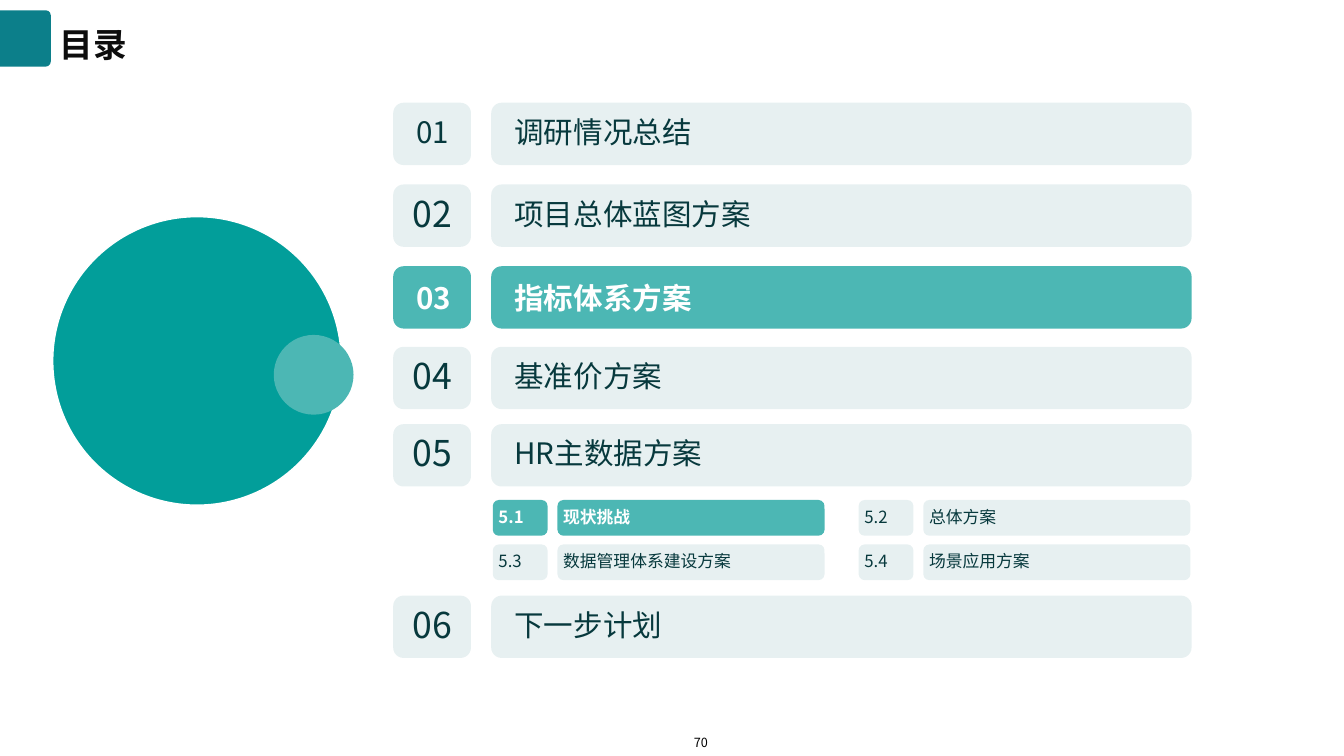
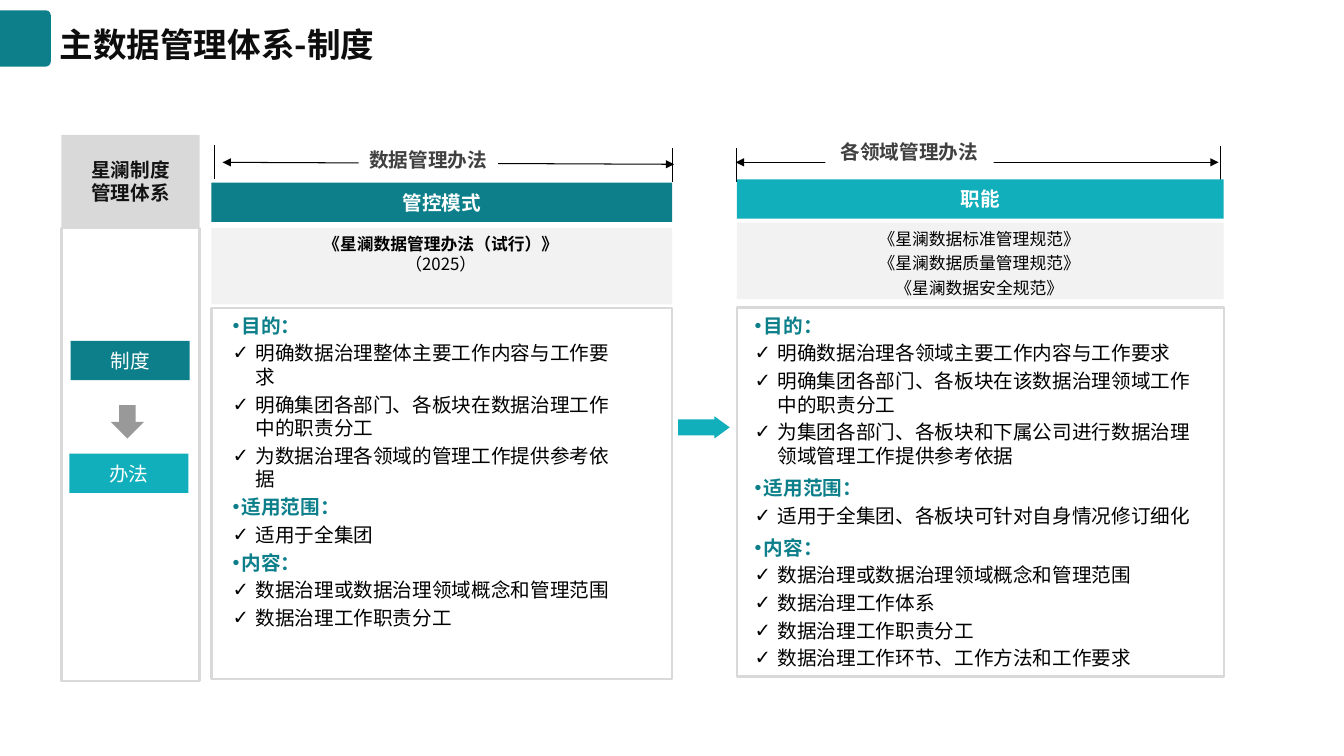
"""Build the agenda page and the data management policy page."""
import dataclasses
import typing

import lxml.etree
import pptx
import pptx.dml.color
import pptx.enum.shapes
import pptx.enum.text
import pptx.oxml.ns
import pptx.shapes.autoshape
import pptx.slide
import pptx.text.text
import pptx.util

Cm = pptx.util.Cm
Pt = pptx.util.Pt
qn = pptx.oxml.ns.qn
Kind = pptx.enum.shapes.MSO_SHAPE
Align = pptx.enum.text.PP_ALIGN
Anchor = pptx.enum.text.MSO_ANCHOR
Shape = pptx.shapes.autoshape.Shape
Page = pptx.slide.Slide
Frame = pptx.text.text.TextFrame
Place = tuple[float, float, float, float]

FONT = "Noto Sans CJK SC"
TEAL, CYAN, MINT, GREEN = "0C7F8A", "11AFBB", "4CB7B4", "029E9A"
PALE, INK, WHITE, BLACK = "1A757E", "07393D", "FFFFFF", "000000"
SILVER, MIST, GRAY = "D9D9D9", "F2F2F2", "999999"

NO_INSET: Place = (0, 0, 0, 0)
PLAIN_INSET: Place = (0.25, 0.13, 0.25, 0.13)
BAR_INSET: Place = (0.51, 0.1, 0.18, 0.1)
TOPIC_INSET: Place = (0.1, 0.1, 0.18, 0.1)
PAPER_INSET: Place = (0.15, 0.15, 0.2, 0.23)
CENTER = {"alignment": Align.CENTER}
TIGHT = {"line_spacing": 0.9}


@dataclasses.dataclass(frozen=True)
class Line:
    """One paragraph with its look."""
    text: str
    size: float = 14
    color: str = BLACK
    bold: bool = False
    layout: dict[str, typing.Any] = dataclasses.field(default_factory=lambda: CENTER)
    bullet: str = ""
    indent: float = 0


@dataclasses.dataclass(frozen=True)
class Chapter:
    """One numbered row of the agenda."""
    number: str
    title: str
    top: float
    active: bool = False
    large: bool = True


@dataclasses.dataclass(frozen=True)
class Policy:
    """One policy column with its span marker, papers and list."""
    label: str
    label_place: Place
    arrow: Place
    ticks: tuple[tuple[float, float], ...]
    heading: str
    color: str
    left: float
    width: float
    heading_top: float
    papers: tuple[Line, ...]
    papers_top: float
    frame_top: float
    frame_height: float
    list_left: float
    list_width: float
    sections: dict[str, tuple[str, ...]]
    section_gap: float = 0


def paper(text: str, gap: float = 3, bold: bool = False) -> Line:
    """Return one centred document name."""
    return Line(text, 12, bold=bold, layout=CENTER | {"space_after": Pt(gap)})


CHAPTERS = (
    Chapter("01", "调研情况总结", 2.59, large=False),
    Chapter("02", "项目总体蓝图方案", 4.65),
    Chapter("03", "指标体系方案", 6.71, active=True, large=False),
    Chapter("04", "基准价方案", 8.74),
    Chapter("05", "HR主数据方案", 10.69),
    Chapter("06", "下一步计划", 15.01),
)
TOPICS = ("现状挑战", "总体方案", "数据管理体系建设方案", "场景应用方案")
POLICIES = (
    Policy(
        "数据管理办法", (9.04, 3.53, 3.51, 0.99), (5.61, 4.09, 16.99, 4.14),
        ((5.41, 3.66), (16.94, 3.73)), "管控模式", TEAL, 5.33, 11.61, 4.6,
        (paper("《星澜数据管理办法（试行）》", 0, True), paper("（2025）")),
        5.74, 7.77, 9.35, 5.61, 10.21,
        {
            "目的：": (
                "明确数据治理整体主要工作内容与工作要求",
                "明确集团各部门、各板块在数据治理工作中的职责分工",
                "为数据治理各领域的管理工作提供参考依据",
            ),
            "适用范围：": ("适用于全集团",),
            "内容：": ("数据治理或数据治理领域概念和管理范围", "数据治理工作职责分工"),
        },
    ),
    Policy(
        "各领域管理办法", (20.8, 3.33, 4.24, 0.99), (18.54, 4.09, 30.71, 4.09),
        ((18.57, 3.73), (30.76, 3.68)), "职能", CYAN, 18.57, 12.27, 4.52,
        tuple(paper(f"《星澜数据{name}规范》") for name in ("标准管理", "质量管理", "安全")),
        5.61, 7.75, 9.3, 18.77, 11.51,
        {
            "目的：": (
                "明确数据治理各领域主要工作内容与工作要求",
                "明确集团各部门、各板块在该数据治理领域工作中的职责分工",
                "为集团各部门、各板块和下属公司进行数据治理领域管理工作提供参考依据",
            ),
            "适用范围：": ("适用于全集团、各板块可针对自身情况修订细化",),
            "内容：": (
                "数据治理或数据治理领域概念和管理范围",
                "数据治理工作体系",
                "数据治理工作职责分工",
                "数据治理工作环节、工作方法和工作要求",
            ),
        },
        section_gap=3,
    ),
)


def rgb(color: str) -> pptx.dml.color.RGBColor:
    """Return the colour of a hex string."""
    return pptx.dml.color.RGBColor.from_string(color)


def apply(target: typing.Any, values: dict[str, typing.Any]) -> None:
    """Set every named attribute on the target."""
    for name, value in values.items():
        setattr(target, name, value)


def cm_place(place: Place) -> list[pptx.util.Length]:
    """Turn centimetre numbers into lengths."""
    return [Cm(number) for number in place]


def write(frame: Frame, lines: typing.Sequence[Line], inset: Place = PLAIN_INSET,
          anchor: Anchor = Anchor.MIDDLE, wrap: bool = True) -> None:
    """Fill a text frame with formatted paragraphs."""
    sides = ("margin_left", "margin_top", "margin_right", "margin_bottom")
    apply(frame, dict(zip(sides, cm_place(inset))))
    apply(frame, {"vertical_anchor": anchor, "word_wrap": wrap,
                  "auto_size": pptx.enum.text.MSO_AUTO_SIZE.NONE})
    for index, line in enumerate(lines):
        para = frame.add_paragraph() if index else frame.paragraphs[0]
        if line.bullet:
            settings = para._p.get_or_add_pPr()
            settings.set("marL", str(Cm(line.indent)))
            settings.set("indent", str(-Cm(line.indent)))
            lxml.etree.SubElement(settings, qn("a:buChar")).set("char", line.bullet)
        apply(para, {"space_before": Pt(0)} | line.layout)
        span = para.add_run()
        span.text = line.text
        apply(span.font, {"size": Pt(line.size), "bold": line.bold, "name": FONT})
        span.font.color.rgb = rgb(line.color)
        east_asian = lxml.etree.SubElement(span._r.get_or_add_rPr(), qn("a:ea"))
        east_asian.set("typeface", FONT)


def draw_box(page: Page, place: Place, fill: str = "", kind: Kind = Kind.RECTANGLE,
             line: str = "", width: float = 1.5, alpha: int = 100) -> Shape:
    """Draw a preset shape without shadow."""
    box = page.shapes.add_shape(kind, *cm_place(place))
    box.shadow.inherit = False
    if fill:
        box.fill.solid()
        box.fill.fore_color.rgb = rgb(fill)
        if alpha < 100:
            color = box._element.spPr.find(f"{qn('a:solidFill')}/{qn('a:srgbClr')}")
            lxml.etree.SubElement(color, qn("a:alpha")).set("val", str(alpha * 1000))
    else:
        box.fill.background()
    if line:
        box.line.color.rgb = rgb(line)
        box.line.width = Pt(width)
    else:
        box.line.fill.background()
    return box


def draw_line(page: Page, ends: Place, arrows: bool = False) -> None:
    """Draw a thin black line, with arrowheads at both ends if asked."""
    connector = page.shapes.add_connector(
        pptx.enum.shapes.MSO_CONNECTOR.STRAIGHT, *cm_place(ends))
    connector.line.color.rgb = rgb(BLACK)
    connector.line.width = Pt(0.75)
    outline = connector._element.spPr.find(qn("a:ln"))
    for tag in ("a:headEnd", "a:tailEnd") if arrows else ():
        lxml.etree.SubElement(outline, qn(tag)).set("type", "triangle")
    lxml.etree.SubElement(connector._element.spPr, qn("a:effectLst"))


def move(shape: typing.Any, place: Place) -> None:
    """Place a shape at the given position and size."""
    apply(shape, dict(zip(("left", "top", "width", "height"), cm_place(place))))


def start_page(deck: typing.Any, layout: int, title: str) -> Page:
    """Add a page with the shared corner tab and title."""
    page = deck.slides.add_slide(deck.slide_layouts[layout])
    tab = draw_box(page, (-0.07, 0.33, 1.42, 1.28), TEAL, Kind.ROUND_2_SAME_RECTANGLE)
    tab.rotation = 90
    tab.adjustments[0] = 0.1
    move(page.shapes.title, (1.5, 0.25, 29.51, 1.42))
    heading = {"alignment": Align.LEFT, "line_spacing": 1.3}
    write(page.shapes.title.text_frame, [Line(title, 24, "0D0D0D", True, heading)], NO_INSET)
    return page


def draw_entry(page: Page, place: Place, text: str, size: float, active: bool,
               inset: Place, centered: bool = False) -> None:
    """Draw one rounded agenda box, highlighted when active."""
    fill, alpha, color = (MINT, 100, WHITE) if active else (PALE, 10, INK)
    box = draw_box(page, place, fill, Kind.ROUNDED_RECTANGLE, alpha=alpha)
    layout = TIGHT | {"alignment": Align.CENTER if centered else Align.LEFT}
    if active and size > 12:
        layout["line_spacing"] = 1.0
    write(box.text_frame, [Line(text, size, color, active, layout)], inset, wrap=not centered)


def build_agenda(deck: typing.Any) -> None:
    """Build the agenda page."""
    page = start_page(deck, 5, "目录")
    draw_box(page, (1.33, 5.46, 7.27, 7.27), GREEN, Kind.OVAL, WHITE, 1)
    draw_box(page, (6.9, 8.44, 2.01, 2.01), MINT, Kind.OVAL)
    for item in CHAPTERS:
        draw_entry(page, (12.38, item.top, 17.65, 1.57), item.title, 21.1, item.active, BAR_INSET)
        size, inset = (25.4, NO_INSET) if item.large else (21.1, BAR_INSET)
        draw_entry(page, (9.91, item.top, 1.96, 1.57), item.number, size, item.active,
                   inset, item.large)
    for index, topic in enumerate(TOPICS):
        row, column = divmod(index, 2)
        top, shift = 12.6 + 1.12 * row, 9.22 * column
        for left, width, text in ((12.42, 1.38, f"5.{index + 1}"), (14.05, 6.73, topic)):
            draw_entry(page, (left + shift, top, width, 0.9), text, 12, index == 0, TOPIC_INSET)
    number = page.shapes.add_textbox(*cm_place((16.89, 18.39, 1.55, 0.64)))
    write(number.text_frame, [Line("70", 9)], (0.1, 0.13, 0.1, 0.13), Anchor.TOP)


def list_lines(policy: Policy) -> list[Line]:
    """Return the headed check list of a policy."""
    lines: list[Line] = []
    after = {"alignment": Align.LEFT, "space_after": Pt(3)}
    for heading, points in policy.sections.items():
        before = {"space_before": Pt(policy.section_gap if lines else 0)}
        lines.append(Line(heading, 14, TEAL, True, after | before, "•", 0.23))
        lines.extend(Line(point, layout=after, bullet="✓", indent=0.58) for point in points)
    return lines


def draw_policy(page: Page, policy: Policy, body: typing.Any) -> None:
    """Draw one policy column and fill its list placeholder."""
    left, width = policy.left, policy.width
    draw_line(page, policy.arrow, True)
    for tick_left, top in policy.ticks:
        draw_line(page, (tick_left, top, tick_left, top + 0.86))
    label = draw_box(page, policy.label_place, WHITE)
    write(label.text_frame, [Line(policy.label, color="404040", bold=True)], NO_INSET)
    heading = draw_box(page, (left, policy.heading_top, width, 0.99), policy.color)
    write(heading.text_frame, [Line(policy.heading, color=WHITE, bold=True)])
    papers = draw_box(page, (left, policy.papers_top, width, 1.93), MIST)
    write(papers.text_frame, policy.papers, PAPER_INSET, Anchor.TOP)
    draw_box(page, (left, policy.frame_top, width, policy.frame_height), line=SILVER)
    move(body, (policy.list_left, 7.77, policy.list_width, 8.89))
    write(body.text_frame, list_lines(policy), anchor=Anchor.TOP)


def build_policies(deck: typing.Any) -> None:
    """Build the policy page."""
    page = start_page(deck, 3, "主数据管理体系-制度")
    system = draw_box(page, (1.55, 3.4, 3.48, 2.34), SILVER)
    write(system.text_frame,
          [Line(text, color="131313", bold=True) for text in ("星澜制度", "管理体系")])
    draw_box(page, (1.55, 5.74, 3.48, 11.43), line=SILVER)
    for text, left, top, color in (("制度", 1.78, 8.59, TEAL), ("办法", 1.75, 11.43, CYAN)):
        step = draw_box(page, (left, top, 3, 0.99), color)
        write(step.text_frame, [Line(text, color=WHITE)])
    draw_box(page, (2.79, 10.21, 0.84, 0.84), GRAY, Kind.DOWN_ARROW)
    for index, policy in enumerate(POLICIES, 1):
        draw_policy(page, policy, page.placeholders[index])
    arrow = draw_box(page, (17.09, 10.49, 1.3, 0.56), CYAN, Kind.RIGHT_ARROW)
    arrow.adjustments[0], arrow.adjustments[1] = 0.715, 0.687


def main() -> None:
    """Build and save the deck."""
    deck = pptx.Presentation()
    apply(deck, {"slide_width": Cm(33.87), "slide_height": Cm(19.05)})
    build_agenda(deck)
    build_policies(deck)
    deck.save("out.pptx")


if __name__ == "__main__":
    main()
